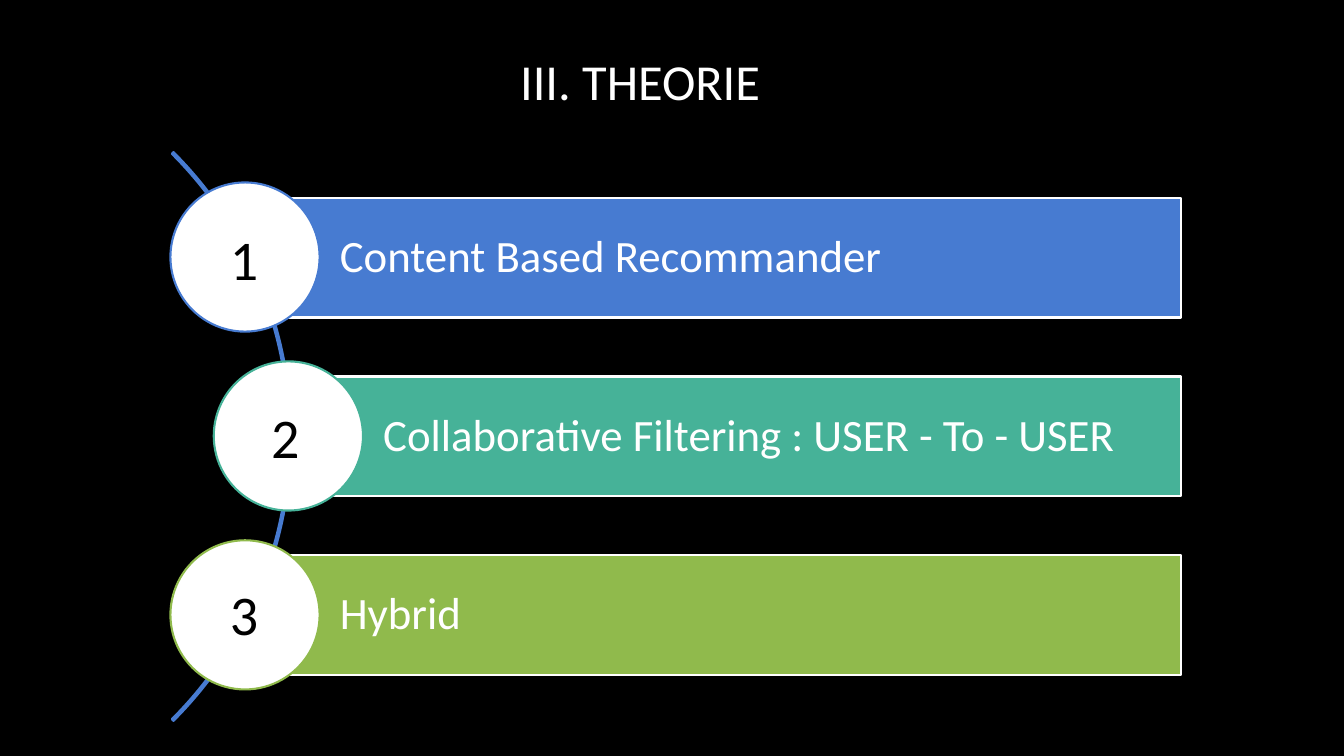
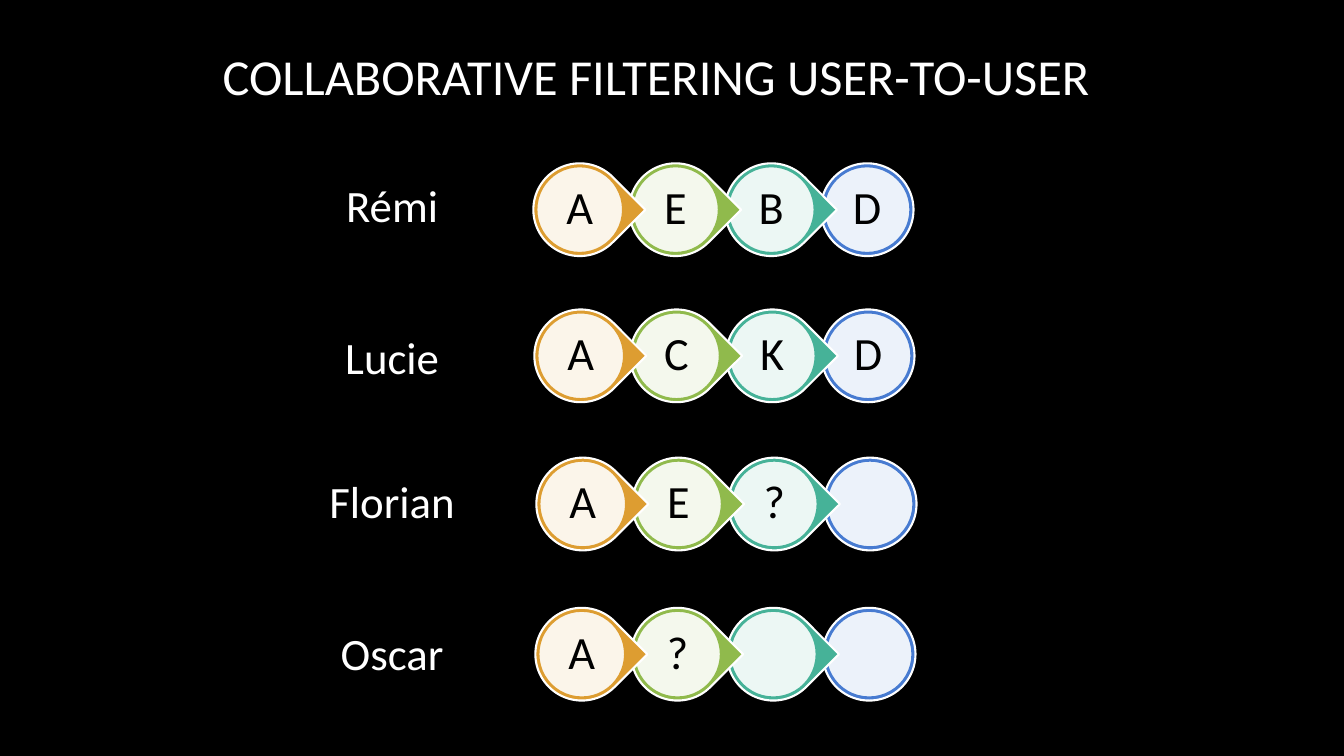
"""Build two slides on recommender theory and user-to-user filtering."""
from lxml.etree import SubElement
from pptx import Presentation
from pptx.dml.color import RGBColor
from pptx.enum.shapes import MSO_SHAPE
from pptx.enum.text import MSO_ANCHOR, PP_ALIGN
from pptx.oxml.ns import qn
from pptx.util import Inches, Pt

HUES = {
    "black": "000000",
    "white": "FFFFFF",
    "blue": "477BD1",
    "teal": "46B298",
    "green": "90BA4C",
    "gold": "DD9D31",
}
FONT = "Calibri"
DISC = 1.48
BEAD = 0.92
RIM = 0.03
STEP = 0.95


def tint(name):
    return RGBColor.from_string(HUES[name])


def write(shape, text, size, hue, align=PP_ALIGN.CENTER, anchor=MSO_ANCHOR.MIDDLE,
          pads=(0.1, 0.05, 0.1, 0.05), lead=None):
    frame = shape.text_frame
    frame.word_wrap = True
    frame.vertical_anchor = anchor
    (frame.margin_left, frame.margin_top,
     frame.margin_right, frame.margin_bottom) = map(Inches, pads)
    para = frame.paragraphs[0]
    para.text = text
    para.alignment = align
    if lead:
        para.line_spacing = lead
    para.font.name = FONT
    para.font.size = Pt(size)
    para.font.color.rgb = tint(hue)


def label(slide, box, text, size, hue="white", anchor=MSO_ANCHOR.TOP):
    write(slide.shapes.add_textbox(*map(Inches, box)), text, size, hue, anchor=anchor)


def draw(slide, kind, box, line, fill=None, alpha=None):
    shape = slide.shapes.add_shape(kind, *map(Inches, box))
    shape.shadow.inherit = False
    shape.line.color.rgb = tint(line)
    shape.line.width = Pt(1.5)
    if fill:
        shape.fill.solid()
        shape.fill.fore_color.rgb = tint(fill)
    else:
        shape.fill.background()
    if alpha:
        color = shape.fill._xPr.find(qn("a:solidFill"))[0]
        SubElement(color, qn("a:alpha")).set("val", str(alpha * 1000))
    return shape


def page(deck, title, left, top):
    slide = deck.slides.add_slide(deck.slide_layouts[6])
    slide.background.fill.solid()
    slide.background.fill.fore_color.rgb = tint("black")
    label(slide, (left, top, 11.08, 1.59), title, 36, anchor=MSO_ANCHOR.MIDDLE)
    return slide


def curve(slide):
    arc = draw(slide, MSO_SHAPE.BLOCK_ARC, (-5.09, 0.34, 7.98, 7.98), "blue")
    for index, value in enumerate((189, 27, 0.003)):
        arc.adjustments[index] = value


def topic(slide, text, hue, left, top):
    bar = draw(slide, MSO_SHAPE.RECTANGLE, (left, top, 11.71 - left, 1.19), "white", hue)
    write(bar, text, 32, "white", PP_ALIGN.LEFT, pads=(0.94, 0.09, 0.09, 0.09), lead=0.9)
    draw(slide, MSO_SHAPE.OVAL, (left - DISC / 2, top - 0.15, DISC, DISC), hue, "white")


def bead(slide, text, hue, left, top, last):
    kind = MSO_SHAPE.OVAL if last else MSO_SHAPE.TEAR
    base = draw(slide, kind, (left, top, BEAD, BEAD), "white", hue)
    if not last:
        base.rotation = 45
    size = BEAD - 2 * RIM
    face = draw(slide, MSO_SHAPE.OVAL, (left + RIM, top + RIM, size, size), hue, "white", 90)
    if text:
        write(face, text, 33, "black", pads=(0.05,) * 4, lead=0.9)


def chain(slide, items, left, top):
    hues = ("gold", "green", "teal", "blue")
    final = len(hues) - 1
    for col in range(final, -1, -1):
        text = items[col] if col < len(items) else ""
        bead(slide, text, hues[col], left + col * STEP, top, col == final)


def theory(deck):
    slide = page(deck, "III. THEORIE", 0.81, 0)
    curve(slide)
    topics = (
        ("Content Based Recommander", "blue", 2.43, 2.01, 2.18),
        ("Collaborative Filtering : USER - To - USER", "teal", 2.86, 2.42, 3.94),
        ("Hybrid", "green", 2.43, 2.01, 5.7),
    )
    for row, (text, hue, left, num_x, num_y) in enumerate(topics):
        topic(slide, text, hue, left, 1.96 + row * 1.775)
        label(slide, (num_x, num_y, 0.82, 0.77), str(row + 1), 40, "black")


def users(deck):
    slide = page(deck, "COLLABORATIVE FILTERING USER-TO-USER", 0.97, -0.05)
    rows = (
        ("Rémi", "AEBD", 1.71, 5.29, 1.62),
        ("Lucie", "ACKD", 3.22, 5.3, 3.07),
        ("Florian", "AE?", 4.65, 5.32, 4.54),
        ("Oscar", "A?", 6.16, 5.31, 6.03),
    )
    for name, items, name_y, left, top in rows:
        chain(slide, items, left, top)
        label(slide, (3.09, name_y, 1.6, 0.64), name, 32)


def main():
    deck = Presentation()
    deck.slide_width = Inches(13.33)
    deck.slide_height = Inches(7.5)
    theory(deck)
    users(deck)
    deck.save("out.pptx")


if __name__ == "__main__":
    main()
